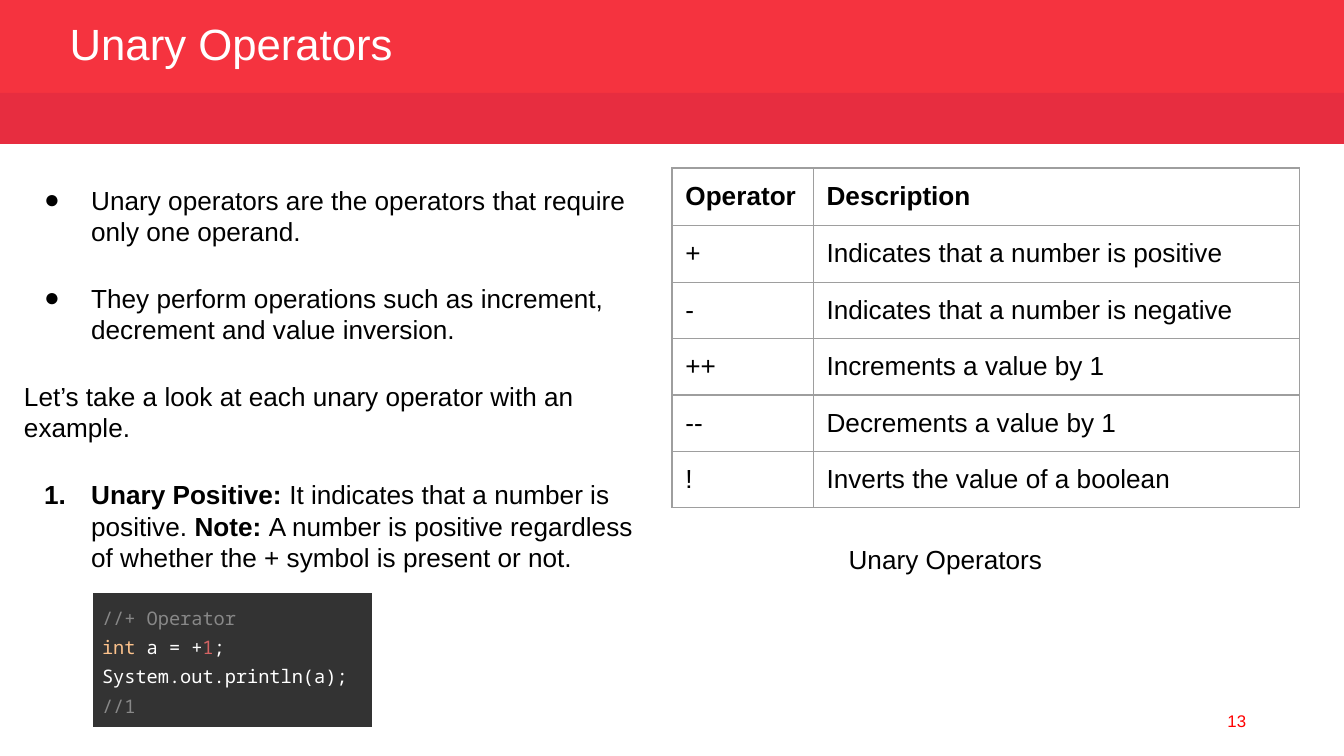
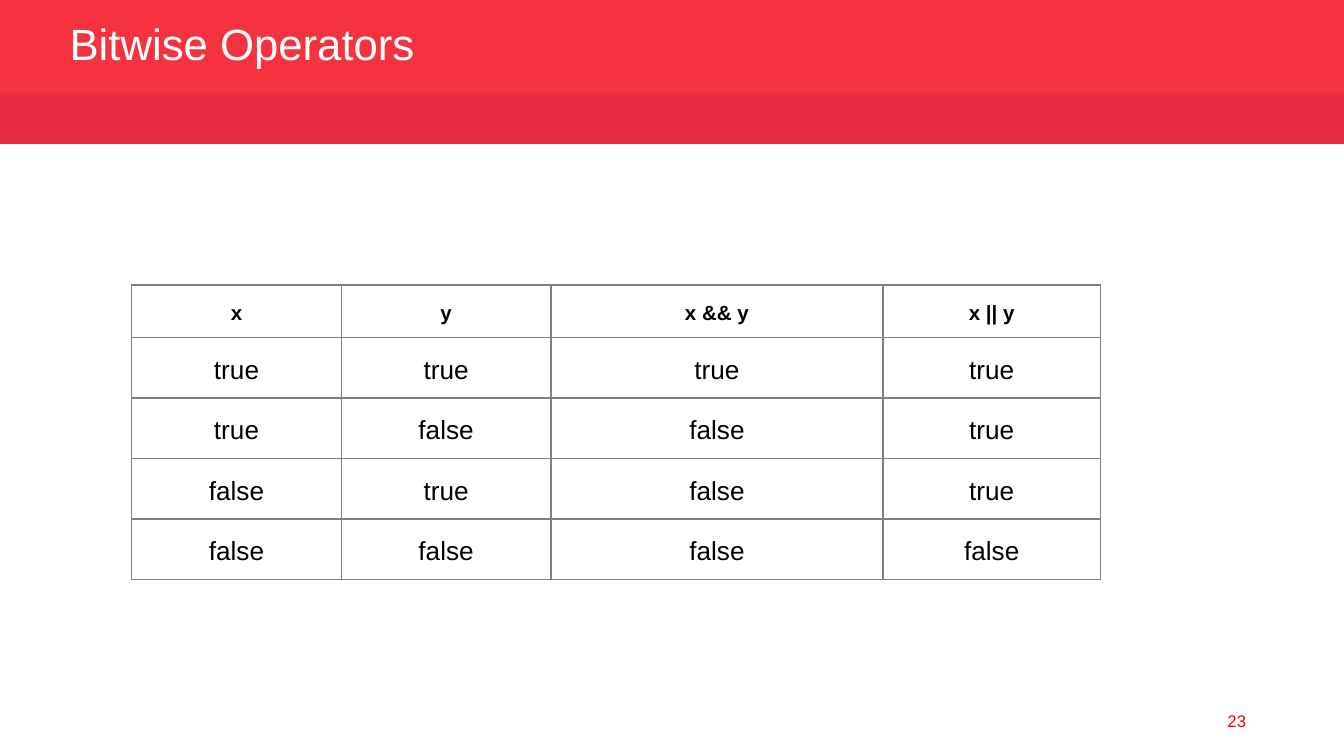
"""Build two slides on Java unary and bitwise operators."""
from lxml import etree
from pptx import Presentation
from pptx.dml.color import RGBColor
from pptx.enum import shapes, text
from pptx.oxml import ns
from pptx.util import Inches, Pt

RED = RGBColor(0xF5, 0x33, 0x3F)
DARK_RED = RGBColor(0xE7, 0x2D, 0x40)
NUMBER_RED = RGBColor(0xFF, 0x00, 0x00)
WHITE = RGBColor(0xFF, 0xFF, 0xFF)
BLACK = RGBColor(0x00, 0x00, 0x00)
LIGHT_BORDER = RGBColor(0x9E, 0x9E, 0x9E)
GRAY_BORDER = RGBColor(0x80, 0x80, 0x80)
CODE_FILL = RGBColor(0x33, 0x33, 0x33)
COMMENT = RGBColor(0x88, 0x88, 0x88)
KEYWORD = RGBColor(0xFC, 0xC2, 0x8C)
LITERAL = RGBColor(0xD3, 0x63, 0x63)
LEFT, CENTER, RIGHT = text.PP_ALIGN.LEFT, text.PP_ALIGN.CENTER, text.PP_ALIGN.RIGHT


def write(frame, paragraphs, size=14, font="Arial", color=BLACK, bold=False, align=LEFT,
          spacing=None, gap=0):
    """Fill a text frame from strings or (bullet, runs) pairs; a run is (words, bold, color)."""
    frame.word_wrap = True
    for index, item in enumerate([paragraphs] if isinstance(paragraphs, str) else paragraphs):
        bullet, runs = (None, [(item, bold, color)]) if isinstance(item, str) else item
        paragraph = frame.add_paragraph() if index else frame.paragraphs[0]
        paragraph.alignment = align
        if spacing:
            paragraph.line_spacing = spacing
        if index and gap:
            paragraph.space_before = Pt(gap)
        if bullet:
            properties = paragraph._p.get_or_add_pPr()
            properties.set("marL", str(Inches(0.5)))
            properties.set("indent", str(Inches(-0.35)))
            bullet_color = etree.SubElement(properties, ns.qn("a:buClr"))
            etree.SubElement(bullet_color, ns.qn("a:srgbClr"), val=str(BLACK))
            etree.SubElement(properties, ns.qn("a:buFont"), typeface=font)
            if bullet == "1.":
                etree.SubElement(properties, ns.qn("a:buAutoNum"), type="arabicPeriod")
            else:
                etree.SubElement(properties, ns.qn("a:buChar"), char=bullet)
        for words, run_bold, run_color in runs:
            for number, line in enumerate(words.split("\n")):
                if number:
                    paragraph.add_line_break()
                if line:
                    run = paragraph.add_run()
                    run.text = line
                    run.font.name, run.font.size = font, Pt(size)
                    run.font.bold, run.font.color.rgb = run_bold, run_color


def add_grid(slide, left, top, widths, heights, rows, border=None, fill=None, header=None,
             margins=(0.1, 0.1, 0.08), **style):
    """Add a table with even borders; header holds the format of the first row."""
    frame = slide.shapes.add_table(len(rows), len(widths), Inches(left), Inches(top),
                                   Inches(sum(widths)), Inches(sum(heights)))
    table = frame.table
    table.first_row = table.horz_banding = False
    for column, width in zip(table.columns, widths):
        column.width = Inches(width)
    for row_index, (row, height) in enumerate(zip(rows, heights)):
        table.rows[row_index].height = Inches(height)
        row_style = {**style, **header} if header and row_index == 0 else style
        for column_index, content in enumerate(row):
            cell = table.cell(row_index, column_index)
            properties = cell._tc.get_or_add_tcPr()
            for side in ("lnL", "lnR", "lnT", "lnB"):
                line = etree.SubElement(properties, ns.qn("a:" + side), w=str(Pt(0.75)))
                paint = etree.SubElement(line, ns.qn("a:solidFill" if border else "a:noFill"))
                if border:
                    etree.SubElement(paint, ns.qn("a:srgbClr"), val=str(border))
            if fill:
                cell.fill.solid()
                cell.fill.fore_color.rgb = fill
            else:
                cell.fill.background()
            write(cell.text_frame, content, **row_style)
            cell.margin_left = cell.margin_right = Inches(margins[0])
            cell.margin_top, cell.margin_bottom = Inches(margins[1]), Inches(margins[2])


presentation = Presentation()
presentation.slide_width, presentation.slide_height = Inches(10), Inches(10 * 9 / 16)

slides = []
for title, page in (("Unary Operators", "13"), ("Bitwise Operators", "23")):
    slide = presentation.slides.add_slide(presentation.slide_layouts[6])
    for top, height, color in ((0, 0.7, RED), (0.69, 0.38, DARK_RED)):
        band = slide.shapes.add_shape(shapes.MSO_SHAPE.RECTANGLE, 0, Inches(top),
                                      Inches(10), Inches(height))
        band.shadow.inherit = False
        band.fill.solid()
        band.fill.fore_color.rgb = color
        band.line.fill.background()
    number_box = slide.shapes.add_textbox(Inches(7.12), Inches(5.21), Inches(2.25), Inches(0.3))
    number_box.text_frame.vertical_anchor = text.MSO_ANCHOR.MIDDLE
    write(number_box.text_frame, page, size=9, color=NUMBER_RED, align=RIGHT)
    title_box = slide.shapes.add_textbox(Inches(0.42), Inches(0.14), Inches(6.96), Inches(0.44))
    title_box.text_frame.vertical_anchor = text.MSO_ANCHOR.MIDDLE
    write(title_box.text_frame, title, size=23.4, color=WHITE, spacing=0.8)
    slides.append(slide)

unary_slide, bitwise_slide = slides

explanation = unary_slide.shapes.add_textbox(Inches(0.08), Inches(1.32), Inches(4.75), Inches(3))
write(explanation.text_frame, [
    ("●", [("Unary operators are the operators that require only one operand.", False, BLACK)]),
    ("●", [("They perform operations such as increment, decrement and value inversion.", False, BLACK)]),
    "Let’s take a look at each unary operator with an example.",
    ("1.", [("Unary Positive: ", True, BLACK),
            ("It indicates that a number is positive. ", False, BLACK),
            ("Note: ", True, BLACK),
            ("A number is positive regardless of whether the + symbol is present or not.", False, BLACK)]),
], gap=19)

add_grid(unary_slide, 5, 1.25, (1.05, 3.62), [0.43] + [0.42] * 5, [
    ("Operator", "Description"),
    ("+", "Indicates that a number is positive"),
    ("-", "Indicates that a number is negative"),
    ("++", "Increments a value by 1"),
    ("--", "Decrements a value by 1"),
    ("!", "Inverts the value of a boolean"),
], border=LIGHT_BORDER, header={"bold": True})

caption = unary_slide.shapes.add_textbox(Inches(5.23), Inches(3.94), Inches(3.61), Inches(0.38))
caption.text_frame.margin_top = caption.text_frame.margin_bottom = Inches(0.1)
write(caption.text_frame, "Unary Operators", align=CENTER)

code = [("//+ Operator\n", False, COMMENT), ("int", False, KEYWORD), (" a = +", False, WHITE),
        ("1", False, LITERAL), (";\nSystem.out.println(a); ", False, WHITE), ("//1", False, COMMENT)]
add_grid(unary_slide, 0.69, 4.41, [2.08], [1], [[[(None, code)]]], fill=CODE_FILL,
         margins=(0.07, 0.07, 0.07), size=10, font="Noto Sans Mono", spacing=1.15)

add_grid(bitwise_slide, 0.98, 2.12, (1.56, 1.56, 2.47, 1.62), [0.39] + [0.45] * 4, [
    ("x", "y", "x && y", "x || y"),
    ("true", "true", "true", "true"),
    ("true", "false", "false", "true"),
    ("false", "true", "false", "true"),
    ("false", "false", "false", "false"),
], border=GRAY_BORDER, header={"bold": True, "size": 11}, align=CENTER, spacing=1.15)

presentation.save("out.pptx")
